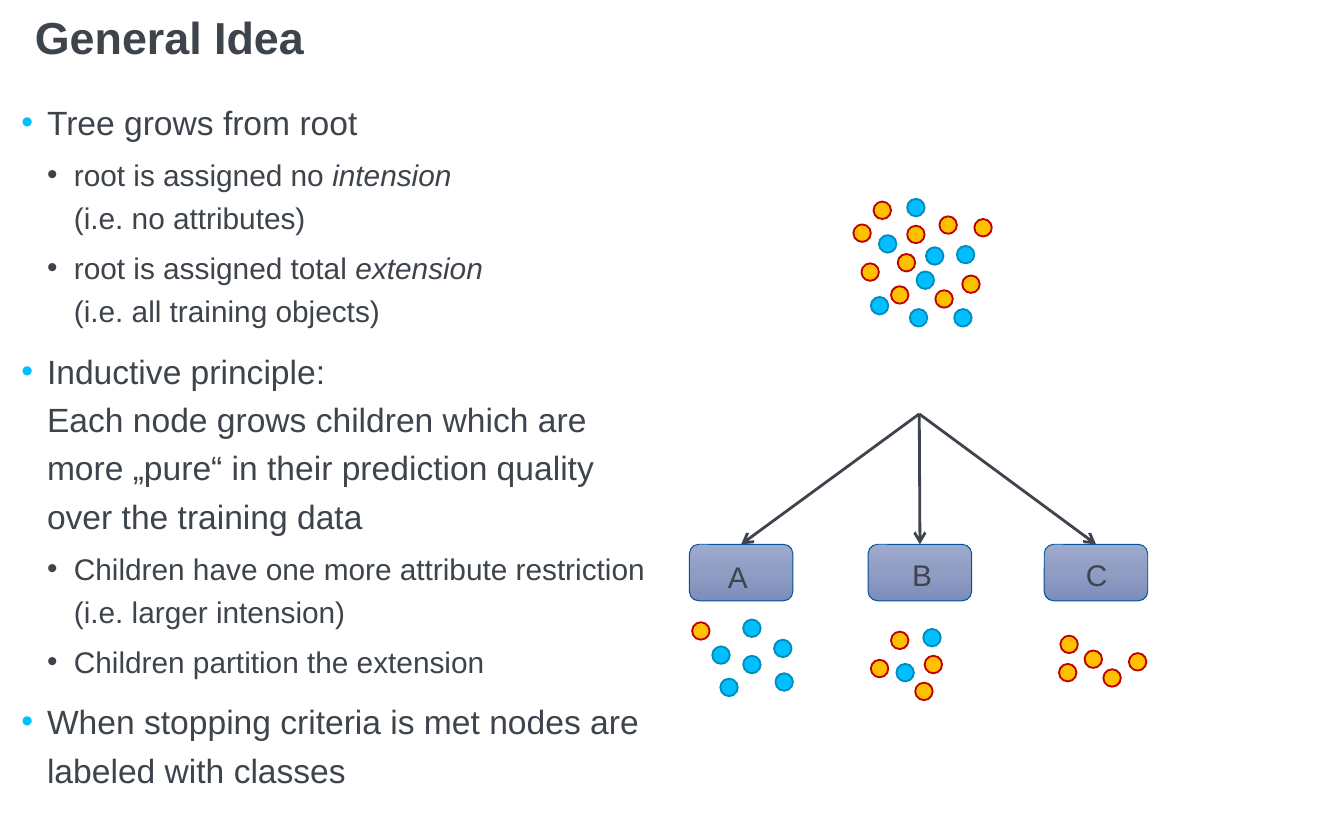
from copy import deepcopy
from dataclasses import dataclass

from lxml.etree import SubElement
from pptx import Presentation
from pptx.dml.color import RGBColor
from pptx.enum.shapes import MSO_CONNECTOR, MSO_SHAPE
from pptx.enum.text import PP_ALIGN
from pptx.oxml.ns import qn
from pptx.util import Emu, Pt

PX = 9144
FONT = "Arial"
COLORS = {
    "text": "3E444C",
    "accent": "00BEFF",
    "accent_line": "008DBD",
    "orange": "FFC000",
    "orange_line": "C00000",
    "node_top": "9DA9CD",
    "node_middle": "909DC3",
    "node_bottom": "7C8DBB",
    "node_line": "00519E",
}
DOT_SIZE = 13
NODE_TOP, NODE_WIDTH, NODE_HEIGHT = 405, 77, 42
LABEL_WIDTH, LABEL_HEIGHT = 48, 29
ROOT = (684, 308)


@dataclass(frozen=True)
class Level:
    size: int
    indent: int
    hanging: int
    before: float
    bullet: str


@dataclass(frozen=True)
class Point:
    depth: int
    runs: tuple[tuple[str, bool], ...]


@dataclass(frozen=True)
class Node:
    label: str
    left: int
    label_left: int
    label_top: int


@dataclass(frozen=True)
class Cluster:
    blue: tuple[tuple[int, int], ...]
    orange: tuple[tuple[int, int], ...]


LEVELS = (Level(18, 19, 19, 7.5, "accent"), Level(16, 39, 20, 3.8, "text"))
POINTS = (
    Point(0, (("Tree grows from root", False),)),
    Point(1, (("root is assigned no ", False), ("intension ", True),
              ("\n(i.e. no attributes)", False))),
    Point(1, (("root is assigned total ", False), ("extension", True),
              ("\n(i.e. all training objects)", False))),
    Point(0, (("Inductive principle:\nEach node grows children which are more „pure“ "
               "in their prediction quality over the training data", False),)),
    Point(1, (("Children have one more attribute restriction "
               "(i.e. larger intension)", False),)),
    Point(1, (("Children partition the extension", False),)),
    Point(0, (("When stopping criteria is met nodes are labeled with classes", False),)),
)
NODES = (Node("A", 513, 525, 410), Node("B", 646, 662, 409), Node("C", 777, 792, 409))
CLUSTERS = (
    Cluster(
        blue=((654, 175), (675, 148), (689, 184), (682, 202), (712, 183),
              (677, 230), (710, 230), (648, 221)),
        orange=((675, 168), (668, 189), (699, 161), (716, 205), (696, 216),
                (663, 213), (641, 196), (650, 150), (635, 167), (725, 163)),
    ),
    Cluster(
        blue=((577, 501), (536, 505), (553, 461), (553, 488), (576, 476), (530, 481)),
        orange=((515, 463),),
    ),
    Cluster(
        blue=((667, 494), (687, 468)),
        orange=((688, 488), (681, 508), (663, 470), (648, 491)),
    ),
    Cluster(
        blue=(),
        orange=((789, 473), (840, 486), (807, 484), (821, 498), (788, 494)),
    ),
)


def px(length: int) -> Emu:
    return Emu(length * PX)


def color(name: str) -> RGBColor:
    return RGBColor.from_string(COLORS[name])


def add_text_frame(slide, left: int, top: int, width: int, height: int):
    frame = slide.shapes.add_textbox(px(left), px(top), px(width), px(height)).text_frame
    frame.word_wrap = True
    frame.margin_left = frame.margin_top = frame.margin_right = frame.margin_bottom = 0
    return frame


def add_run(paragraph, text: str, size: int, bold: bool = False, italic: bool = False) -> None:
    for index, line in enumerate(text.split("\n")):
        if index:
            paragraph.add_line_break()
        if line:
            run = paragraph.add_run()
            run.text = line
            run.font.name = FONT
            run.font.size = Pt(size)
            run.font.bold = bold
            run.font.italic = italic
            run.font.color.rgb = color("text")


def add_bullet(paragraph, level: Level) -> None:
    properties = paragraph._p.get_or_add_pPr()
    properties.set("marL", str(px(level.indent)))
    properties.set("indent", str(-px(level.hanging)))
    bullet_color = SubElement(properties, qn("a:buClr"))
    SubElement(bullet_color, qn("a:srgbClr"), val=COLORS[level.bullet])
    SubElement(properties, qn("a:buFont"), typeface=FONT)
    SubElement(properties, qn("a:buChar"), char="•")


def add_points(slide, points: tuple[Point, ...]) -> None:
    frame = add_text_frame(slide, 16, 70, 471, 541)
    for index, point in enumerate(points):
        level = LEVELS[point.depth]
        paragraph = frame.add_paragraph() if index else frame.paragraphs[0]
        paragraph.level = point.depth
        add_bullet(paragraph, level)
        paragraph.line_spacing = 1.2
        paragraph.space_before = Pt(level.before if index else 0)
        for text, italic in point.runs:
            add_run(paragraph, text, level.size, italic=italic)


def add_outlined(slide, kind: MSO_SHAPE, left: int, top: int, width: int, height: int,
                 line: str, weight: float):
    outlined = slide.shapes.add_shape(kind, px(left), px(top), px(width), px(height))
    outlined.shadow.inherit = False
    outlined.line.color.rgb = color(line)
    outlined.line.width = Pt(weight)
    return outlined


def add_node(slide, node: Node) -> None:
    box = add_outlined(slide, MSO_SHAPE.ROUNDED_RECTANGLE, node.left, NODE_TOP,
                       NODE_WIDTH, NODE_HEIGHT, "node_line", 0.5)
    box.fill.gradient()
    box.fill.gradient_angle = 270
    first_stop = box._element.xpath(".//a:gs")[0]
    first_stop.addnext(deepcopy(first_stop))
    shades = ("node_top", "node_middle", "node_bottom")
    for index, (stop, shade) in enumerate(zip(box.fill.gradient_stops, shades)):
        stop.position = index / 2
        stop.color.rgb = color(shade)

    branch = slide.shapes.add_connector(
        MSO_CONNECTOR.STRAIGHT, px(ROOT[0]), px(ROOT[1]),
        px(node.left + NODE_WIDTH // 2), px(NODE_TOP))
    branch.end_connect(box, 0)
    branch.line.color.rgb = color("text")
    branch.line.width = Pt(1.5)
    SubElement(branch.line._get_or_add_ln(), qn("a:tailEnd"), type="arrow")
    SubElement(branch._element.spPr, qn("a:effectLst"))

    frame = add_text_frame(slide, node.label_left, node.label_top, LABEL_WIDTH, LABEL_HEIGHT)
    label = frame.paragraphs[0]
    label.alignment = PP_ALIGN.CENTER
    label.line_spacing = 1.2
    add_run(label, node.label, 16)


def add_cluster(slide, cluster: Cluster) -> None:
    for dots, fill, line in ((cluster.blue, "accent", "accent_line"),
                             (cluster.orange, "orange", "orange_line")):
        for left, top in dots:
            dot = add_outlined(slide, MSO_SHAPE.OVAL, left, top, DOT_SIZE, DOT_SIZE, line, 1)
            dot.fill.solid()
            dot.fill.fore_color.rgb = color(fill)


def main() -> None:
    deck = Presentation()
    deck.slide_width, deck.slide_height = px(1000), px(625)
    slide = deck.slides.add_slide(deck.slide_layouts[6])
    title = add_text_frame(slide, 26, 12, 902, 63).paragraphs[0]
    title.line_spacing = 0.9
    add_run(title, "General Idea", 24, bold=True)
    add_points(slide, POINTS)
    for node in NODES:
        add_node(slide, node)
    for cluster in CLUSTERS:
        add_cluster(slide, cluster)
    deck.save("out.pptx")


if __name__ == "__main__":
    main()
